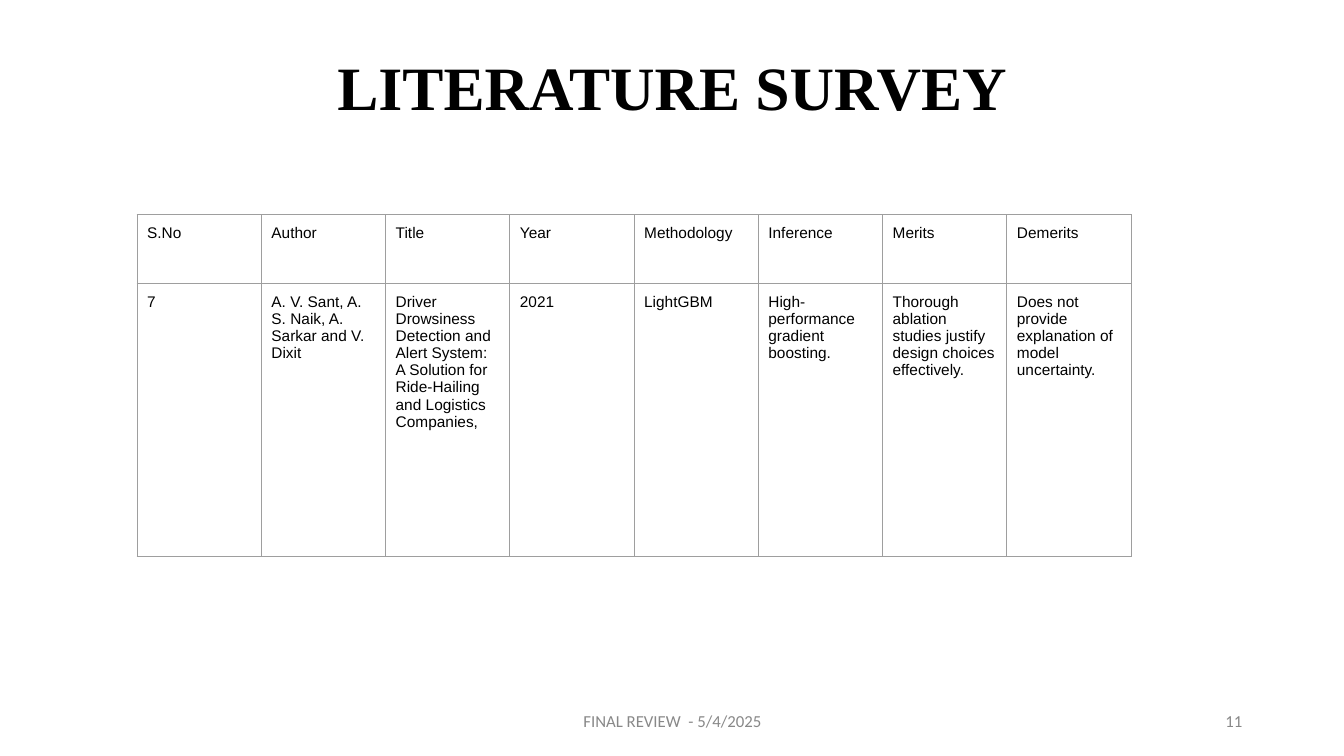
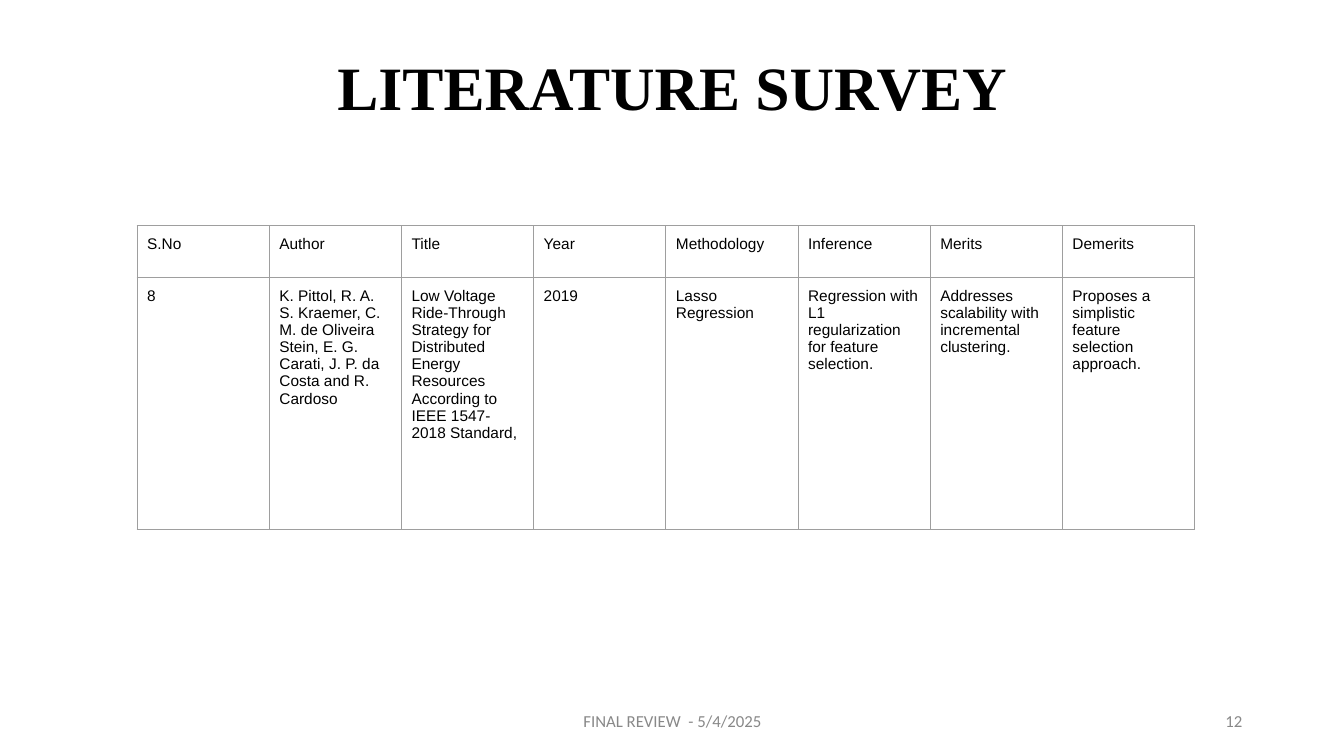
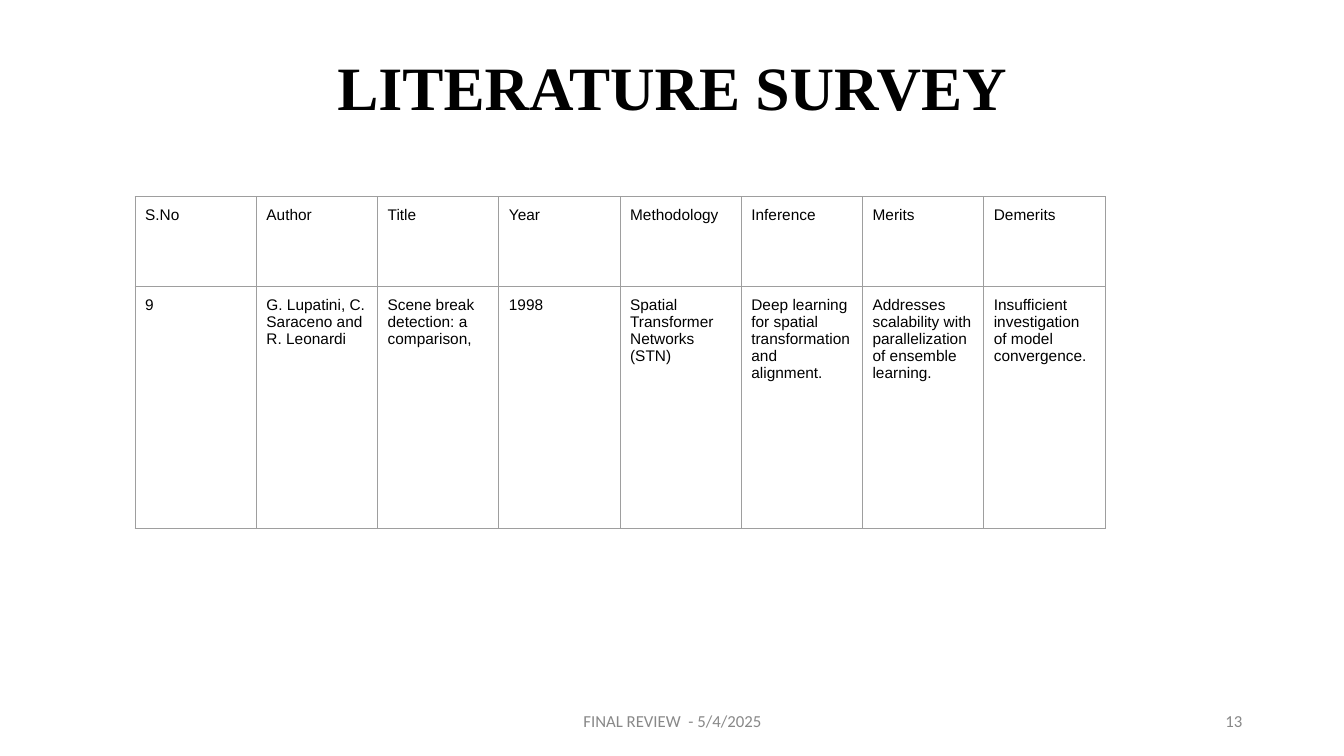
from lxml.etree import SubElement
from pptx import Presentation
from pptx.dml.color import RGBColor
from pptx.enum.text import MSO_ANCHOR as Anchor, PP_ALIGN as Align
from pptx.oxml.ns import qn
from pptx.util import Inches, Pt

BLACK, GREY, BORDER = "000000", "888888", "9E9E9E"
TITLE = "LITERATURE SURVEY"
FOOTER = "FINAL REVIEW  - 5/4/2025"
FIRST_NUMBER = 11
CELL_MARGIN = 0.1
HEADINGS = ["S.No", "Author", "Title", "Year", "Methodology", "Inference", "Merits", "Demerits"]

SURVEYS = [
    {
        "left": 1.36, "top": 2.13, "width": 9.86, "rows": (0.68, 2.71),
        "entry": [
            "7",
            "A. V. Sant, A. S. Naik, A. Sarkar and V. Dixit",
            "Driver Drowsiness Detection and Alert System: A Solution for Ride-Hailing and Logistics Companies,",
            "2021",
            "LightGBM",
            "High-performance gradient boosting.",
            "Thorough ablation studies justify design choices effectively.",
            "Does not provide explanation of model uncertainty.",
        ],
    },
    {
        "left": 1.36, "top": 2.24, "width": 10.49, "rows": (0.51, 2.5),
        "entry": [
            "8",
            "K. Pittol, R. A. S. Kraemer, C. M. de Oliveira Stein, E. G. Carati, J. P. da Costa and R. Cardoso",
            "Low Voltage Ride-Through Strategy for Distributed Energy Resources According to IEEE 1547-2018 Standard,",
            "2019",
            "Lasso Regression",
            "Regression with L1 regularization for feature selection.",
            "Addresses scalability with incremental clustering.",
            "Proposes a simplistic feature selection approach.",
        ],
    },
    {
        "left": 1.34, "top": 1.95, "width": 9.62, "rows": (0.89, 2.4),
        "entry": [
            "9",
            "G. Lupatini, C. Saraceno and R. Leonardi",
            "Scene break detection: a comparison,",
            "1998",
            "Spatial Transformer Networks (STN)",
            "Deep learning for spatial transformation and alignment.",
            "Addresses scalability with parallelization of ensemble learning.",
            "Insufficient investigation of model convergence.",
        ],
    },
]


def rgb(color):
    return RGBColor.from_string(color)


def format_text(paragraph, font_name, size, color, bold=False):
    for run in paragraph.runs:
        run.font.name = font_name
        run.font.size = Pt(size)
        run.font.bold = bold
        run.font.color.rgb = rgb(color)


def add_text(slide, box, text, align, font_name, size, color, bold=False):
    shape = slide.shapes.add_textbox(*map(Inches, box))
    text_frame = shape.text_frame
    text_frame.word_wrap = True
    text_frame.vertical_anchor = Anchor.MIDDLE
    text_frame.text = text
    paragraph = text_frame.paragraphs[0]
    paragraph.alignment = align
    format_text(paragraph, font_name, size, color, bold)
    return paragraph


def add_frame(slide, number):
    title = add_text(slide, (0.92, 0.4, 11.5, 1), TITLE, Align.CENTER, "Times New Roman", 44, BLACK, True)
    title.line_spacing = 0.9
    footer = add_text(slide, (4.42, 6.95, 4.5, 0.4), FOOTER, Align.CENTER, "Calibri", 12, GREY)
    footer.space_before = Pt(1)
    add_text(slide, (9.42, 6.95, 3, 0.4), str(number), Align.RIGHT, "Calibri", 12, GREY)


def set_borders(cell):
    properties = cell._tc.get_or_add_tcPr()
    for side in ("a:lnL", "a:lnR", "a:lnT", "a:lnB"):
        line = SubElement(properties, qn(side), w=str(Pt(0.75)))
        fill = SubElement(line, qn("a:solidFill"))
        SubElement(fill, qn("a:srgbClr"), val=BORDER)


def fill_cell(cell, text):
    cell.margin_left = cell.margin_right = Inches(CELL_MARGIN)
    cell.margin_top = cell.margin_bottom = Inches(CELL_MARGIN)
    cell.text_frame.text = text
    format_text(cell.text_frame.paragraphs[0], "Arial", 11, BLACK)
    set_borders(cell)
    cell.fill.background()


def add_survey(slide, survey):
    contents = [HEADINGS, survey["entry"]]
    box = (survey["left"], survey["top"], survey["width"], sum(survey["rows"]))
    table = slide.shapes.add_table(len(contents), len(HEADINGS), *map(Inches, box)).table
    table.first_row = table.horz_banding = False
    for column in table.columns:
        column.width = Inches(survey["width"] / len(HEADINGS))
    for row, height, texts in zip(table.rows, survey["rows"], contents):
        row.height = Inches(height)
        for cell, text in zip(row.cells, texts):
            fill_cell(cell, text)


def main():
    presentation = Presentation()
    presentation.slide_width = Inches(13.33)
    presentation.slide_height = Inches(7.5)
    for number, survey in enumerate(SURVEYS, FIRST_NUMBER):
        slide = presentation.slides.add_slide(presentation.slide_layouts[6])
        add_frame(slide, number)
        add_survey(slide, survey)
    presentation.save("out.pptx")


if __name__ == "__main__":
    main()
